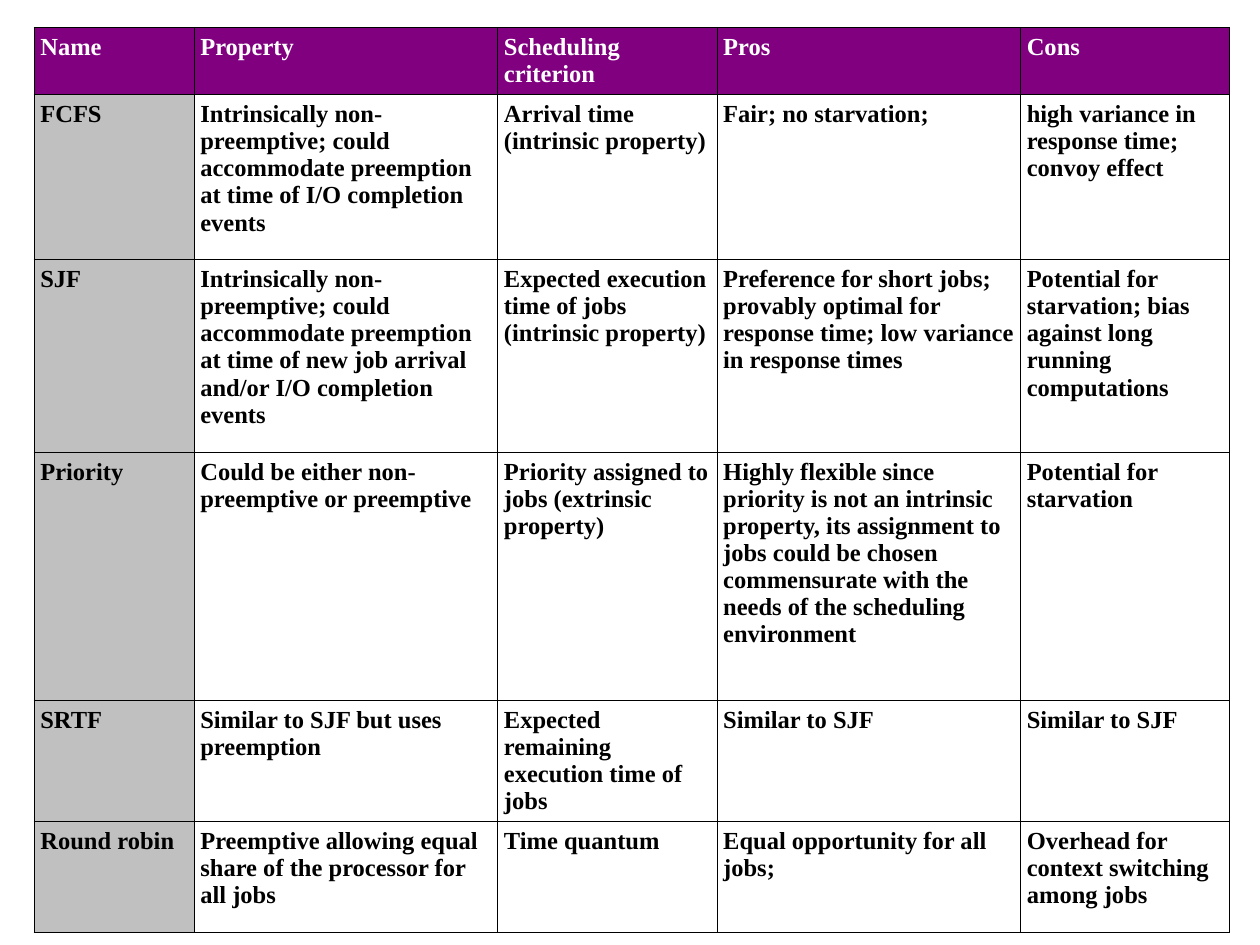
from pptx import Presentation
from pptx.dml.color import RGBColor as RGB
from pptx.oxml import parse_xml
from pptx.oxml.ns import nsdecls
from pptx.util import Inches, Pt


def paint(fill, color):
    fill.solid()
    fill.fore_color.rgb = RGB.from_string(color)


def add_borders(cell, color, width):
    for side in ("lnL", "lnR", "lnT", "lnB"):
        cell._tc.get_or_add_tcPr().append(parse_xml(
            f'<a:{side} {nsdecls("a")} w="{Pt(width)}"><a:solidFill>'
            f'<a:srgbClr val="{color}"/></a:solidFill></a:{side}>'))


SCHEDULERS = [
    ("Name", "Property", "Scheduling criterion", "Pros", "Cons"),
    ("FCFS",
     "Intrinsically non-preemptive; could accommodate preemption at time of I/O completion events",
     "Arrival time (intrinsic property)",
     "Fair; no starvation;",
     "high variance in response time; convoy effect"),
    ("SJF",
     "Intrinsically non-preemptive; could accommodate preemption at time of new job arrival "
     "and/or I/O completion events",
     "Expected execution time of jobs (intrinsic property)",
     "Preference for short jobs; provably optimal for response time; low variance in response times",
     "Potential for starvation; bias against long running computations"),
    ("Priority",
     "Could be either non-preemptive or preemptive",
     "Priority assigned to jobs (extrinsic property)",
     "Highly flexible since priority is not an intrinsic property, its assignment to jobs "
     "could be chosen commensurate with the needs of the scheduling environment",
     "Potential for starvation"),
    ("SRTF",
     "Similar to SJF but uses preemption",
     "Expected remaining execution time of jobs",
     "Similar to SJF",
     "Similar to SJF"),
    ("Round robin",
     "Preemptive allowing equal share of the processor for all jobs",
     "Time quantum",
     "Equal opportunity for all jobs;",
     "Overhead for context switching among jobs"),
]
COL_WIDTHS = [1.27, 2.41, 1.74, 2.41, 1.66]
ROW_HEIGHTS = [0.47, 1.31, 1.53, 1.97, 0.93, 0.88]

prs = Presentation()
prs.slide_width, prs.slide_height = Inches(10), Inches(7.5)
s = prs.slides.add_slide(prs.slide_layouts[6])

table = s.shapes.add_table(
    len(ROW_HEIGHTS), len(COL_WIDTHS), Inches(0.27), Inches(0.22),
    Inches(sum(COL_WIDTHS)), Inches(sum(ROW_HEIGHTS))).table
table.first_row = table.horz_banding = False
for col, width in zip(table.columns, COL_WIDTHS):
    col.width = Inches(width)
for row, height in zip(table.rows, ROW_HEIGHTS):
    row.height = Inches(height)

for i, texts in enumerate(SCHEDULERS):
    for j, text in enumerate(texts):
        cell = table.cell(i, j)
        cell.margin_left = cell.margin_right = Inches(0.05)
        cell.margin_top = cell.margin_bottom = Inches(0.05)
        add_borders(cell, "000000", 0.45)
        if i == 0:
            paint(cell.fill, "800080")
        elif j == 0:
            paint(cell.fill, "C0C0C0")
        else:
            cell.fill.background()
        cell.text = text
        font = cell.text_frame.paragraphs[0].font
        font.name, font.size, font.bold = "Times New Roman", Pt(14), True
        paint(font.fill, "FFFFFF" if i == 0 else "000000")

prs.save("out.pptx")
